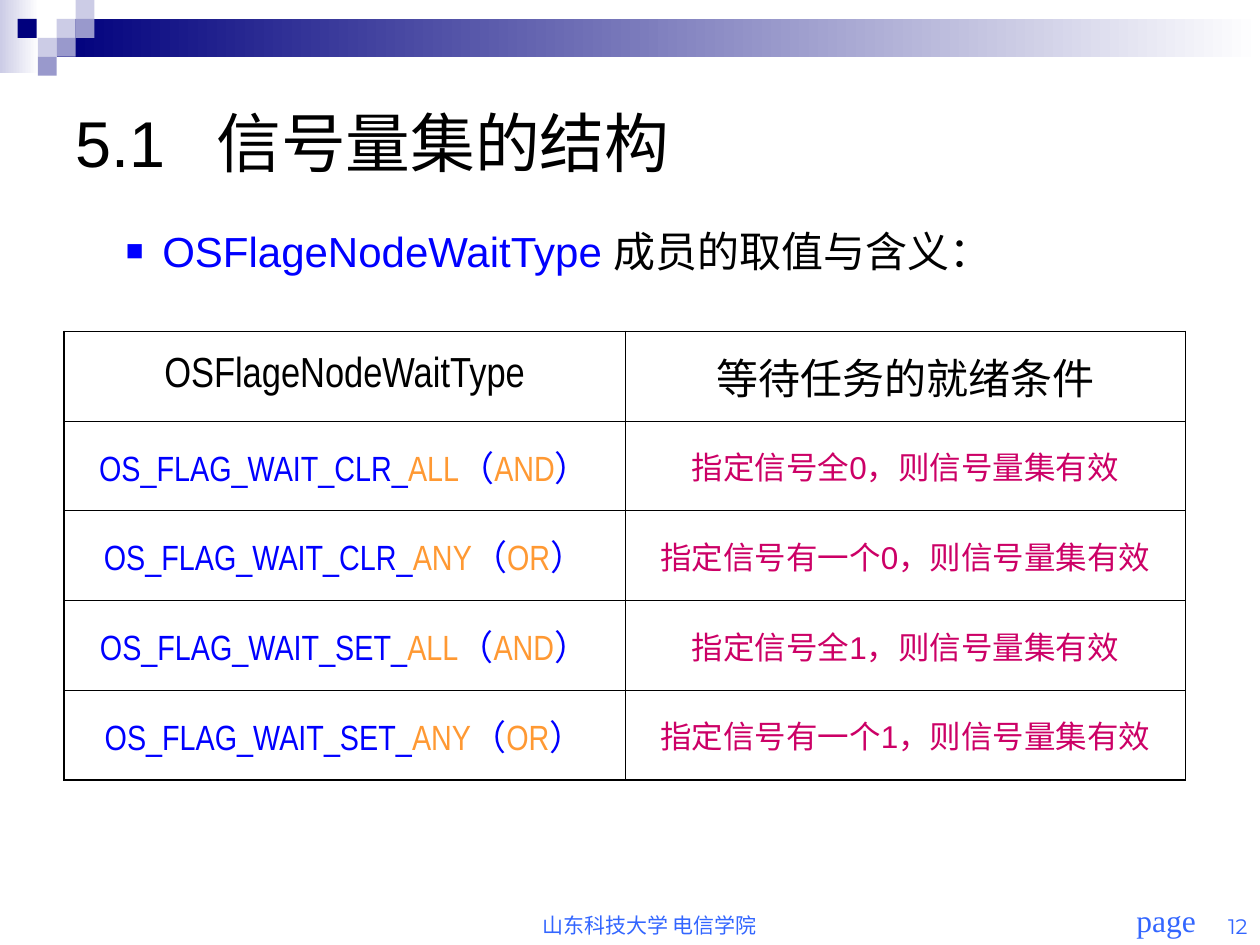
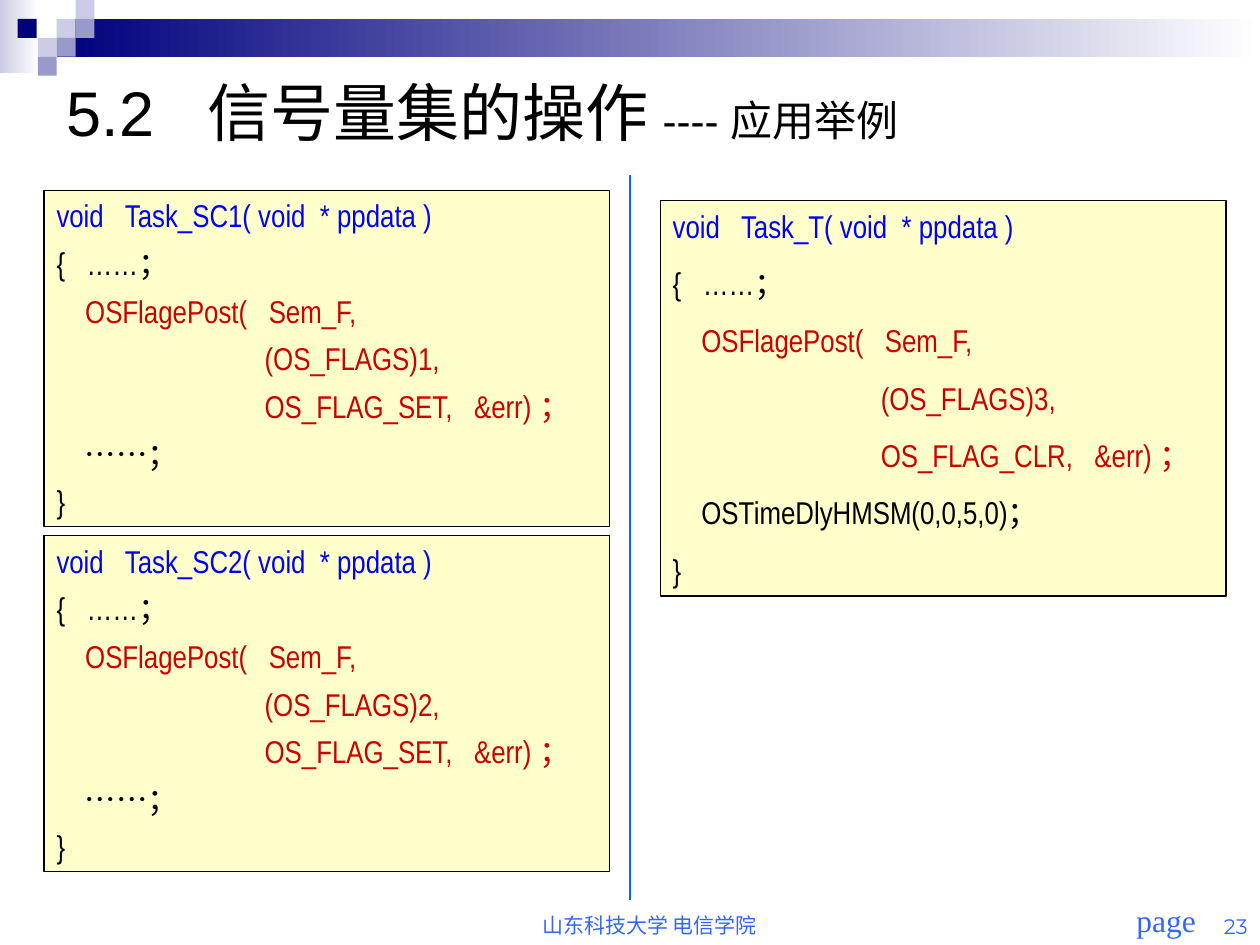
from lxml import etree
from pptx import Presentation
from pptx import util as u
from pptx.dml.color import RGBColor
from pptx.enum import shapes, text
from pptx.oxml.ns import qn

NAVY, LILAC, PALE, WHITE = "00007D", "9999CC", "CCCCE6", "FFFFFF"
BLACK, BLUE, RED, PINK = "000000", "0000FF", "CC0000", "CC0066"
ORANGE, FOOT, RULE, CREAM = "FF9933", "3366FF", "0066FF", "FFFFCC"
SANS, SLIM, MONT, SERIF = "Arial", "Arial Narrow", "Montserrat", "Times New Roman"
LEFT, MID, RIGHT = text.PP_ALIGN.LEFT, text.PP_ALIGN.CENTER, text.PP_ALIGN.RIGHT
TOP, CORE, BASE = (text.MSO_ANCHOR.TOP, text.MSO_ANCHOR.MIDDLE,
                   text.MSO_ANCHOR.BOTTOM)

FADES = [((0, 0, 0.31, 0.58), PALE), ((0.45, 0.15, 9.55, 0.3), NAVY)]
TILES = [(0.45, 0.15, PALE), (0.6, 0, PALE), (0.6, 0.15, LILAC),
         (0.3, 0.3, PALE), (0.14, 0.15, NAVY), (0.45, 0.3, LILAC),
         (0.3, 0.45, LILAC)]
SCHOOL = "山东科技大学 电信学院"

HEADS = ["OSFlageNodeWaitType", "等待任务的就绪条件"]
WAITS = [("CLR", "ALL", "AND", "全0"), ("CLR", "ANY", "OR", "有一个0"),
         ("SET", "ALL", "AND", "全1"), ("SET", "ANY", "OR", "有一个1")]

DOTS = "    ……；"
TASKS = [
    ((5.24, 1.59, 4.49, 3.14), 11.2, "T", 3, "CLR", "    OSTimeDlyHMSM(0,0,5,0)；"),
    ((0.35, 1.51, 4.49, 2.67), 5.6, "SC1", 1, "SET", DOTS),
    ((0.35, 4.25, 4.49, 2.67), 5.6, "SC2", 2, "SET", DOTS),
]


def color(code):
    return RGBColor.from_string(code)


def inch(spot):
    return [u.Inches(n) for n in spot]


def add_runs(para, runs, size, face):
    for words, tint, *own in runs:
        run = para.add_run()
        run.text = words
        font = run.font
        font.size = u.Pt(own[0] if own else size)
        font.name = face
        font.bold = False
        font.color.rgb = color(tint)


def fill_text(frame, lines, size, face, align=LEFT, anchor=TOP, gap=0):
    frame.word_wrap = True
    frame.vertical_anchor = anchor
    for i, runs in enumerate(lines):
        para = frame.add_paragraph() if i else frame.paragraphs[0]
        para.alignment = align
        if i:
            para.space_before = u.Pt(gap)
        add_runs(para, runs, size, face)


def add_text(slide, spot, runs, size, face, align=LEFT, anchor=TOP):
    box = slide.shapes.add_textbox(*inch(spot))
    fill_text(box.text_frame, [runs], size, face, align, anchor)
    return box.text_frame.paragraphs[0]


def add_rect(slide, spot, tint, fade=False):
    rect = slide.shapes.add_shape(shapes.MSO_SHAPE.RECTANGLE, *inch(spot))
    rect.shadow.inherit = False
    rect.line.fill.background()
    if fade:
        rect.fill.gradient()
        rect.fill.gradient_angle = 0
        for stop, shade in zip(rect.fill.gradient_stops, (tint, WHITE)):
            stop.color.rgb = color(shade)
    else:
        rect.fill.solid()
        rect.fill.fore_color.rgb = color(tint)
    return rect


def add_node(parent, tag, **attrs):
    return etree.SubElement(parent, qn(tag), attrs)


def add_base(deck, page):
    slide = deck.slides.add_slide(deck.slide_layouts[6])
    for spot, tint in FADES:
        add_rect(slide, spot, tint, fade=True)
    for x, y, tint in TILES:
        add_rect(slide, (x, y, 0.15, 0.15), tint)
    add_text(slide, (8.9, 7.1, 0.71, 0.4), [("page", FOOT)], 18, SERIF, MID)
    add_text(slide, (3.5, 7.14, 3.31, 0.35), [(SCHOOL, FOOT)], 12, SANS, MID, BASE)
    add_text(slide, (9.49, 7.15, 0.51, 0.35), [(page, FOOT)], 12, MONT, RIGHT, BASE)
    return slide


def add_title(slide, x, y, runs, size):
    para = add_text(slide, (x, y, 9, 0.73), runs, size, SANS, anchor=CORE)
    tabs = add_node(para._p.get_or_add_pPr(), "a:tabLst")
    add_node(tabs, "a:tab", pos=str(u.Inches(1.12)), algn="l")


def add_point(slide, spot, runs):
    para = add_text(slide, spot, runs, 24, SANS)
    props = para._p.get_or_add_pPr()
    dent = u.Inches(0.29)
    props.set("marL", str(dent))
    props.set("indent", str(-dent))
    add_node(add_node(props, "a:buClr"), "a:srgbClr", val=BLUE)
    add_node(props, "a:buSzPct", val="70000")
    add_node(props, "a:buFont", typeface=SANS)
    add_node(props, "a:buChar", char="■")


def add_edges(cell, row, col, rows, cols):
    props = cell._tc.get_or_add_tcPr()
    outer = {"L": col == 0, "R": col == cols - 1, "T": row == 0, "B": row == rows - 1}
    for i, (side, rim) in enumerate(outer.items()):
        edge = etree.Element(qn(f"a:ln{side}"), w=str(u.Pt(1.08 if rim else 0.45)))
        add_node(add_node(edge, "a:solidFill"), "a:srgbClr", val=BLACK)
        props.insert(i, edge)


def add_grid(slide, spot, rows):
    count, width = len(rows), len(rows[0])
    table = slide.shapes.add_table(count, width, *inch(spot)).table
    table.first_row = table.horz_banding = False
    for r, row in enumerate(rows):
        for c, (runs, size, face) in enumerate(row):
            cell = table.cell(r, c)
            cell.fill.background()
            cell.vertical_anchor = CORE
            fill_text(cell.text_frame, [runs], size, face, MID, CORE)
            add_edges(cell, r, c, count, width)


def wait_row(mode, scope, logic, state):
    name = [(f"OS_FLAG_WAIT_{mode}_", BLUE), (scope, ORANGE), ("（", BLUE),
            (logic, ORANGE), ("）", BLUE)]
    return [(name, 20, SLIM), ([(f"指定信号{state}，则信号量集有效", PINK)], 18, SANS)]


def add_task(slide, spot, gap, name, flag, mode, last):
    pad = " " * 29
    lines = [(f"void   Task_{name}( void  * ppdata )", BLUE),
             ("{   ……；", BLACK),
             ("    OSFlagePost(   Sem_F,", RED),
             (f"{pad}(OS_FLAGS){flag},", RED),
             (f"{pad}OS_FLAG_{mode},   &err) ；", RED),
             (last, BLACK), ("}", BLACK)]
    card = add_rect(slide, spot, CREAM)
    card.line.color.rgb = color(BLACK)
    card.line.width = u.Pt(0.75)
    fill_text(card.text_frame, [[line] for line in lines], 18, SLIM, gap=gap)


def add_rule(slide, x, top, end):
    rule = slide.shapes.add_connector(shapes.MSO_CONNECTOR.STRAIGHT,
                                      *inch((x, top, x, end)))
    rule.line.color.rgb = color(RULE)
    rule.line.width = u.Pt(1.5)
    add_node(rule._element.spPr, "a:effectLst")


def main():
    deck = Presentation()
    deck.slide_width, deck.slide_height = inch((10, 7.5))

    slide = add_base(deck, "12")
    add_title(slide, 0.5, 0.76, [("5.1\t信号量集的结构", BLACK)], 37)
    add_point(slide, (0.9, 1.74, 7.4, 0.5),
              [("OSFlageNodeWaitType ", BLUE), ("成员的取值与含义：", BLACK)])
    head = [([(words, BLACK)], 24, SLIM) for words in HEADS]
    add_grid(slide, (0.51, 2.63, 8.9, 3.56), [head] + [wait_row(*w) for w in WAITS])

    slide = add_base(deck, "23")
    add_title(slide, 0.43, 0.52,
              [("5.2\t信号量集的操作 ", BLACK), ("---- 应用举例", BLACK, 24)], 36)
    add_rule(slide, 5, 1.39, 7.14)
    for task in TASKS:
        add_task(slide, *task)

    deck.save("out.pptx")


if __name__ == "__main__":
    main()
